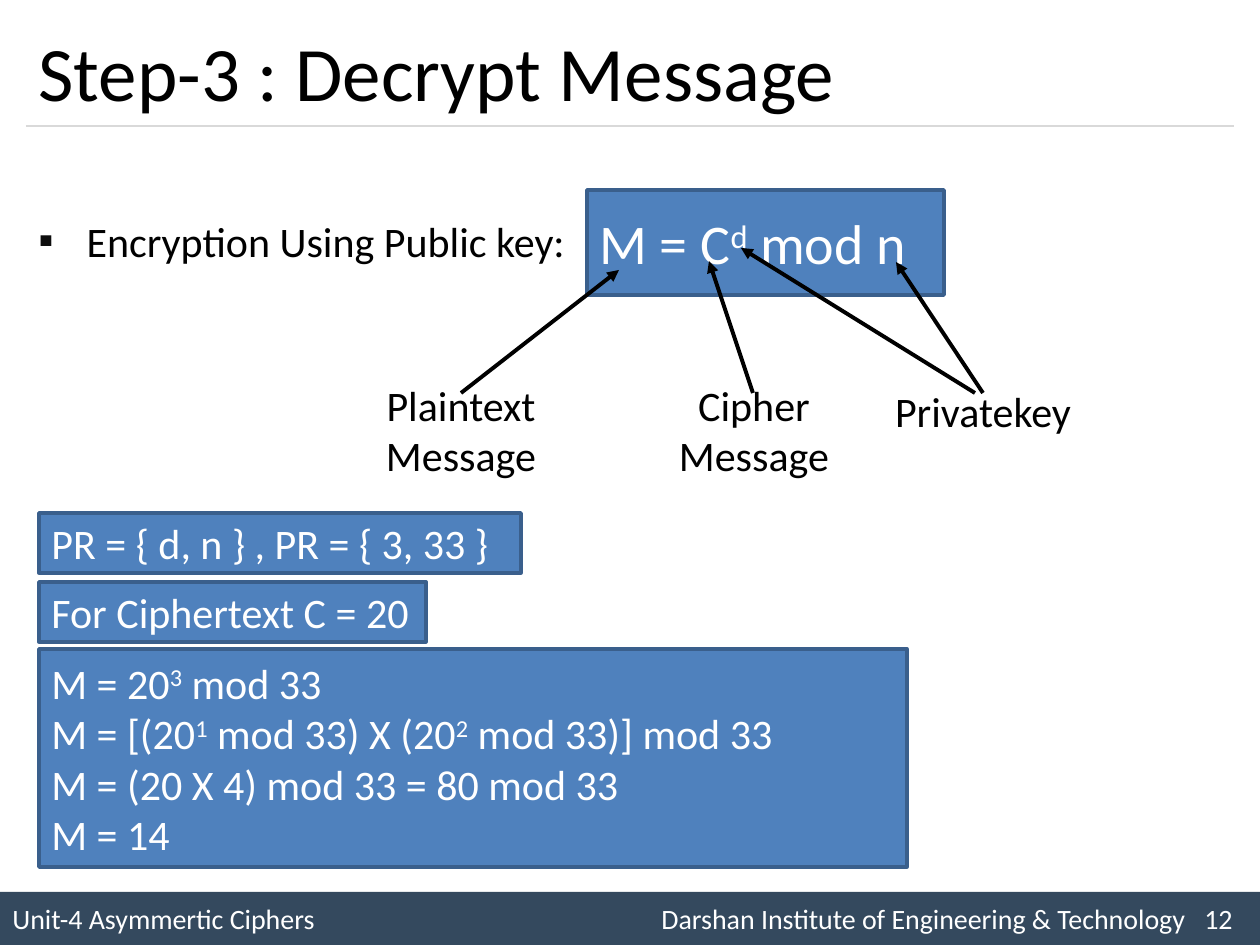
"""Builds the slide on decrypting a message with a private key."""
from lxml.etree import SubElement
from pptx import Presentation
from pptx.dml.color import RGBColor
from pptx.enum.shapes import MSO_CONNECTOR as Connector, MSO_SHAPE as Shape
from pptx.enum.text import MSO_ANCHOR as Anchor, PP_ALIGN as Align
from pptx.oxml.ns import qn
from pptx.util import Emu, Pt

EMU_PER_PX = 914400 / 126
COLORS = {
    "text": "000000",
    "light": "FFFFFF",
    "box": "4F81BD",
    "edge": "3A5F8C",
    "footer": "34495E",
    "rule": "D9D9D9",
    "bullet": "0D0D0D",
}


def px(length):
    """Turn px into EMU."""
    return Emu(round(length * EMU_PER_PX))


def rgb(name):
    """Look up a named colour."""
    return RGBColor.from_string(COLORS[name])


class SlideBuilder:
    """Holds the style and the current slide."""

    font_name = "Calibri"

    def __init__(self, slide):
        """Keep the slide to draw on."""
        self.slide = slide

    def style(self, paragraph, size, color, align=Align.LEFT):
        """Format a paragraph and its runs."""
        paragraph.alignment = align
        for run in paragraph.runs:
            run.font.name = self.font_name
            run.font.size = Pt(size)
            run.font.color.rgb = rgb(color)

    def place(self, shape, left, top, width, height):
        """Move and size a shape."""
        shape.left, shape.top = px(left), px(top)
        shape.width, shape.height = px(width), px(height)

    def title(self, text, *area):
        """Fill the title placeholder."""
        title = self.slide.shapes.title
        self.place(title, *area)
        title.text_frame.text = text
        title.text_frame.vertical_anchor = Anchor.MIDDLE
        self.style(title.text_frame.paragraphs[0], 44, "text")

    def bullet(self, text, top_inset, *area):
        """Fill the body placeholder with one bulleted line."""
        body = self.slide.placeholders[1]
        self.place(body, *area)
        frame = body.text_frame
        frame.text = text
        frame.margin_top = px(top_inset)
        line = frame.paragraphs[0]
        props = line._p.get_or_add_pPr()
        props.set("marL", str(px(48)))
        props.set("indent", str(px(-48)))
        bullet_color = SubElement(props, qn("a:buClr"))
        SubElement(bullet_color, qn("a:srgbClr"), val=COLORS["bullet"])
        SubElement(props, qn("a:buFont"), typeface=self.font_name)
        SubElement(props, qn("a:buChar"), char="▪")
        line.line_spacing = 1.14
        line.space_before = Pt(0)
        self.style(line, 24, "text", Align.JUSTIFY)

    def rectangle(self, fill, edge, *area):
        """Add a plain rectangle and return its text frame."""
        box = self.slide.shapes.add_shape(Shape.RECTANGLE, *map(px, area))
        box.shadow.inherit = False
        box.fill.solid()
        box.fill.fore_color.rgb = rgb(fill)
        if edge:
            box.line.color.rgb = rgb(edge)
            box.line.width = Pt(2)
        else:
            box.line.fill.background()
        box.text_frame.vertical_anchor = Anchor.MIDDLE
        return box.text_frame

    def formula(self, lines, size, *area):
        """Add a box of formulas whose superscripts stand between carets."""
        frame = self.rectangle("box", "edge", *area)
        frame.text = "\n".join(lines)
        for paragraph, line in zip(frame.paragraphs, lines):
            paragraph.clear()
            for index, part in enumerate(line.split("^")):
                run = paragraph.add_run()
                run.text = part
                if index % 2:
                    run._r.get_or_add_rPr().set("baseline", "30000")
            self.style(paragraph, size, "light")

    def footer(self, parts, tab_stops, *area):
        """Add the footer band with its parts at tab stops."""
        frame = self.rectangle("footer", None, *area)
        frame.text = "\t".join(parts)
        line = frame.paragraphs[0]
        tabs = SubElement(line._p.get_or_add_pPr(), qn("a:tabLst"))
        for stop in tab_stops:
            SubElement(tabs, qn("a:tab"), pos=str(px(stop)), algn="l")
        self.style(line, 16, "light")

    def label(self, text, *area):
        """Add a centred label."""
        frame = self.slide.shapes.add_textbox(*map(px, area)).text_frame
        frame.word_wrap = True
        frame.text = text
        for paragraph in frame.paragraphs:
            self.style(paragraph, 24, "text", Align.CENTER)

    def line(self, start, end, color, width, arrow=False):
        """Add a straight line, with an arrowhead at its end if asked."""
        line = self.slide.shapes.add_connector(
            Connector.STRAIGHT, *map(px, (*start, *end)))
        line.line.color.rgb = rgb(color)
        line.line.width = Pt(width)
        if arrow:
            SubElement(line.line._get_or_add_ln(), qn("a:tailEnd"), type="triangle")
        SubElement(line._element.spPr, qn("a:effectLst"))


def main():
    """Build and save the slide."""
    deck = Presentation()
    deck.slide_width, deck.slide_height = px(1260), px(945)
    builder = SlideBuilder(deck.slides.add_slide(deck.slide_layouts[1]))

    builder.footer(
        ["Unit-4 Asymmertic Ciphers",
         "Darshan Institute of Engineering & Technology", "12"],
        (649, 1192), 0, 892, 1260, 53)
    builder.line((26, 126), (1234, 126), "rule", 0.75)
    builder.title("Step-3 : Decrypt Message", 26, 15, 1208, 111)
    builder.bullet("Encryption Using Public key:", 72, 26, 136, 1208, 735)
    builder.formula(["M = C^d^ mod n"], 32, 587, 190, 357, 105)

    for text, left, top, height in (
            ("Plaintext\nMessage", 357, 373, 115),
            ("Cipher\nMessage", 650, 373, 115),
            ("Privatekey", 879, 379, 63)):
        builder.label(text, left, top, 208, height)

    for label_x, symbol in (
            (461, (619, 270)), (753, (709, 261)),
            (975, (741, 248)), (983, (896, 262))):
        builder.line((label_x, 393), symbol, "text", 2.25, arrow=True)

    worked_steps = [
        "M = 20^3^ mod 33",
        "M = [(20^1^ mod 33) X (20^2^ mod 33)] mod 33",
        "M = (20 X 4) mod 33 = 80 mod 33",
        "M = 14",
    ]
    for lines, top, width, height in (
            (["PR = { d, n } , PR = { 3, 33 }"], 513, 482, 60),
            (["For Ciphertext C = 20"], 582, 387, 60),
            (worked_steps, 649, 868, 218)):
        builder.formula(lines, 24, 39, top, width, height)

    deck.save("out.pptx")


if __name__ == "__main__":
    main()
